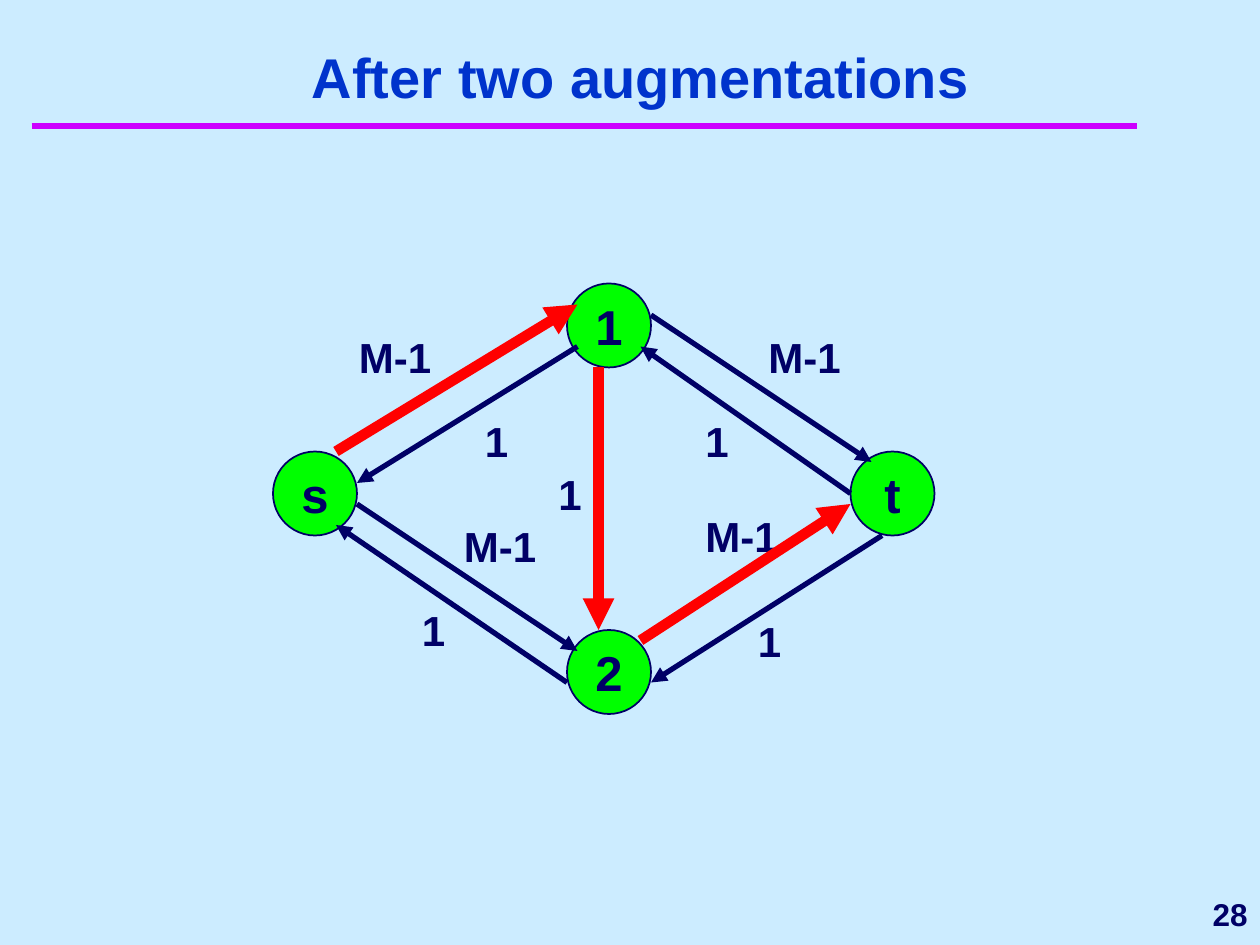
from lxml.etree import SubElement
from pptx import Presentation
from pptx.dml.color import RGBColor
from pptx.enum.shapes import MSO_CONNECTOR, MSO_SHAPE
from pptx.enum.text import MSO_ANCHOR, PP_ALIGN
from pptx.oxml.ns import qn
from pptx.util import Pt

SKY = RGBColor(0xCC, 0xEC, 0xFF)
NAVY = RGBColor(0x00, 0x00, 0x66)
BLUE = RGBColor(0x00, 0x33, 0xCC)
GREEN = RGBColor(0x00, 0xFF, 0x00)
RED = RGBColor(0xFF, 0x00, 0x00)
MAGENTA = RGBColor(0xCC, 0x00, 0xFF)

NODE_SIZE = 48


class GraphSlide:
    """Holds the style and the slide; all lengths are in points."""

    font_name = "Arial"

    def __init__(self, slide):
        self.slide = slide
        fill = slide.background.fill
        fill.solid()
        fill.fore_color.rgb = SKY

    def set_text(self, shape, text, size, color, align, anchor):
        frame = shape.text_frame
        frame.vertical_anchor = anchor
        paragraph = frame.paragraphs[0]
        paragraph.text = text
        paragraph.alignment = align
        font = paragraph.font
        font.name, font.size, font.bold = self.font_name, Pt(size), True
        font.color.rgb = color

    def label(self, text, left, top, width, height=36, size=24, color=NAVY,
              align=PP_ALIGN.LEFT, anchor=MSO_ANCHOR.TOP):
        box = self.slide.shapes.add_textbox(Pt(left), Pt(top), Pt(width), Pt(height))
        box.text_frame.word_wrap = True
        self.set_text(box, text, size, color, align, anchor)

    def node(self, name, left, top):
        circle = self.slide.shapes.add_shape(
            MSO_SHAPE.OVAL, Pt(left), Pt(top), Pt(NODE_SIZE), Pt(NODE_SIZE))
        circle.shadow.inherit = False
        circle.fill.solid()
        circle.fill.fore_color.rgb = GREEN
        circle.line.color.rgb = NAVY
        circle.line.width = Pt(1)
        circle.text_frame.word_wrap = False
        self.set_text(circle, name, 28, NAVY, PP_ALIGN.CENTER, MSO_ANCHOR.MIDDLE)

    def line(self, start, end, color, width, arrow=True):
        connector = self.slide.shapes.add_connector(
            MSO_CONNECTOR.STRAIGHT, *(Pt(value) for value in (*start, *end)))
        connector.line.color.rgb = color
        connector.line.width = Pt(width)
        properties = connector._element.spPr
        if arrow:
            SubElement(properties.find(qn("a:ln")), qn("a:tailEnd"), type="triangle")
        SubElement(properties, qn("a:effectLst"))


def main():
    presentation = Presentation()
    presentation.slide_width, presentation.slide_height = Pt(720), Pt(540)
    graph = GraphSlide(presentation.slides.add_slide(presentation.slide_layouts[6]))

    # Title, rule and page number
    graph.line((18, 72), (650, 72), MAGENTA, 4, arrow=False)
    graph.label("28", 582, 504, 138, size=18,
                align=PP_ALIGN.RIGHT, anchor=MSO_ANCHOR.MIDDLE)
    graph.label("After two augmentations", 30, 24, 672, 42, size=32, color=BLUE,
                align=PP_ALIGN.CENTER, anchor=MSO_ANCHOR.BOTTOM)

    # Nodes
    for name, left, top in [("s", 156, 258), ("1", 324, 162),
                            ("2", 324, 360), ("t", 486, 258)]:
        graph.node(name, left, top)

    # Residual edges
    for start, end in [((372, 180), (498, 264)), ((204, 288), (330, 372)),
                       ((504, 306), (372, 390)), ((330, 198), (204, 276)),
                       ((324, 390), (192, 300)), ((486, 282), (366, 198))]:
        graph.line(start, end, NAVY, 3)

    # Capacities
    for left, top, width in [(198, 186, 78), (432, 186, 78),
                             (396, 288, 72), (258, 294, 60)]:
        graph.label("M-1", left, top, width)
    for left, top in [(312, 264), (270, 234), (426, 348), (396, 234), (234, 342)]:
        graph.label("1", left, top, 42)

    # Augmenting path s-1-2-t
    for start, end in [((192, 258), (330, 174)), ((366, 366), (486, 288)),
                       ((342, 210), (342, 360))]:
        graph.line(start, end, RED, 6)

    presentation.save("out.pptx")


if __name__ == "__main__":
    main()
